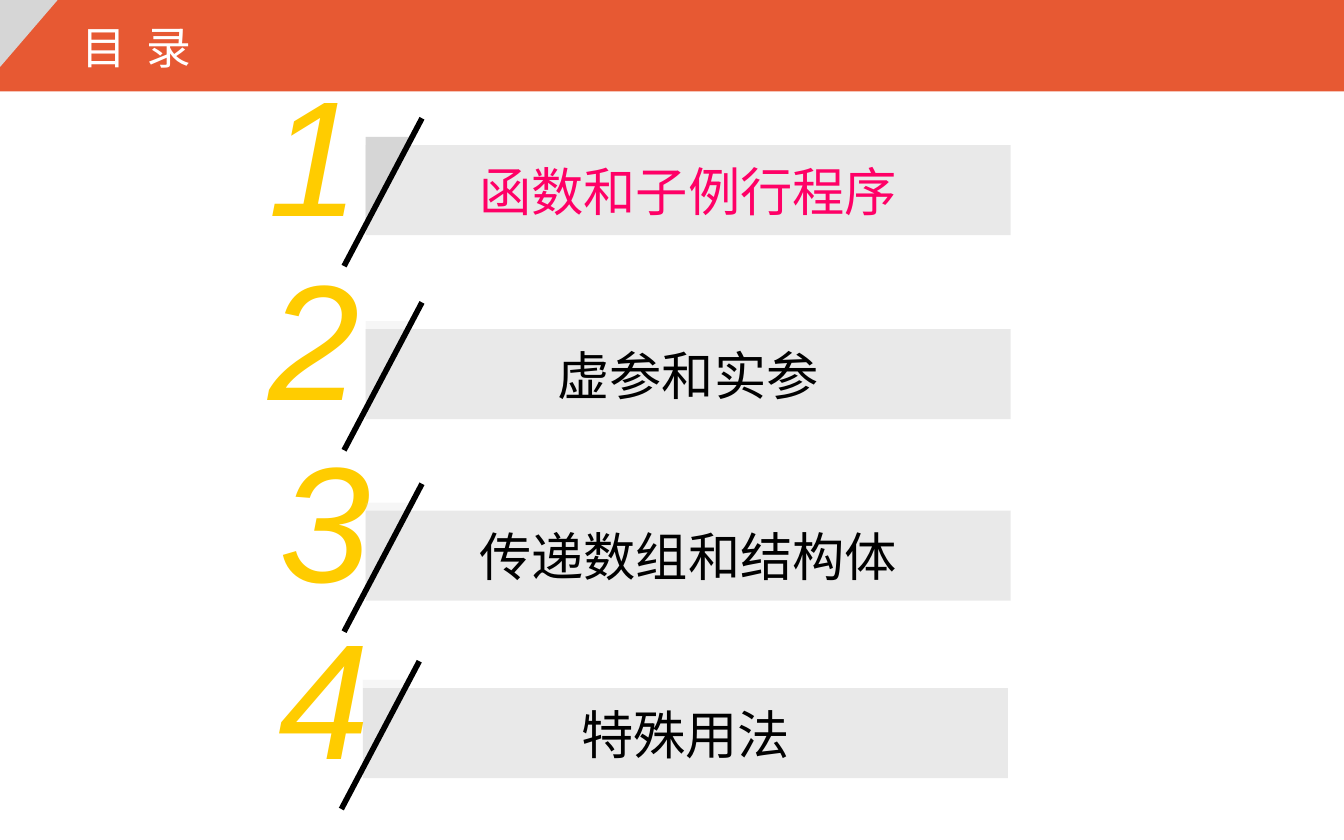
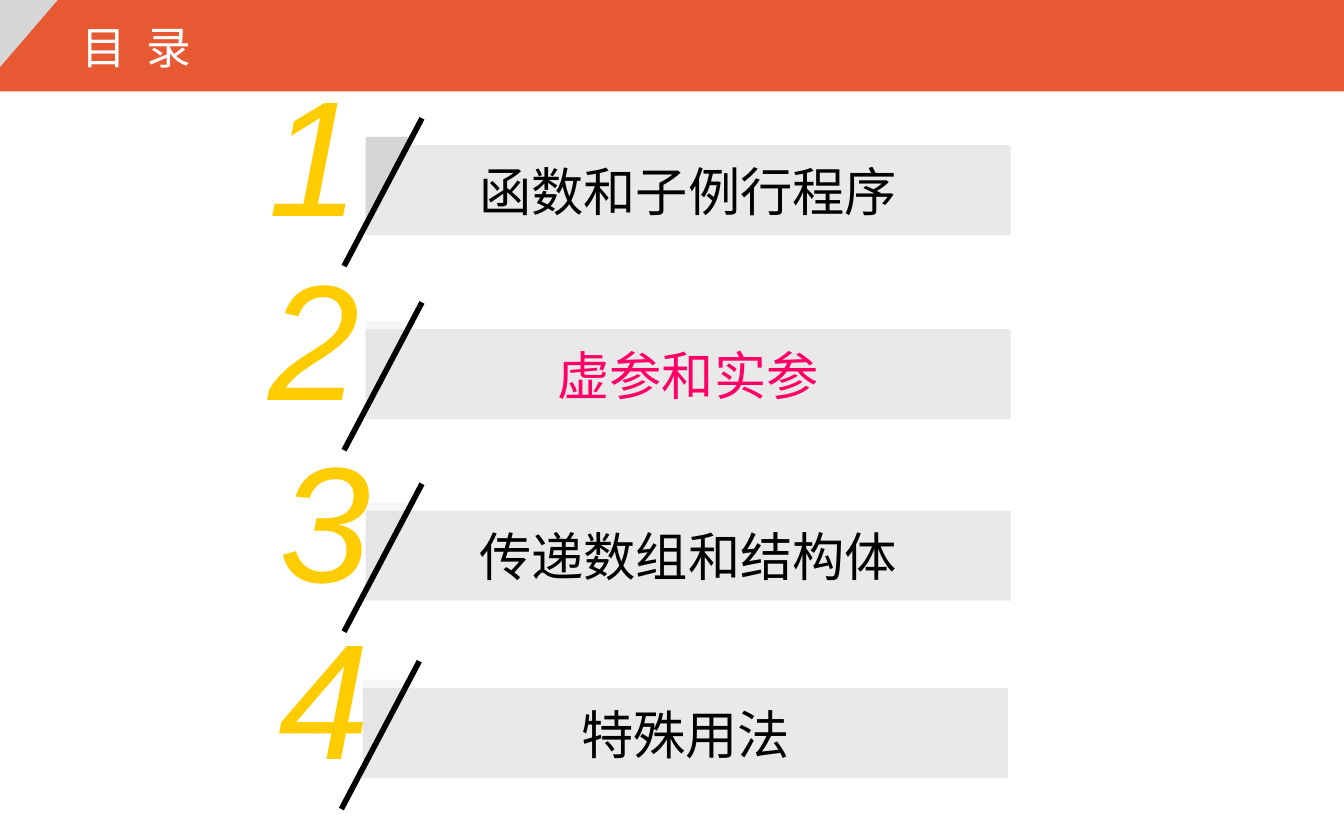
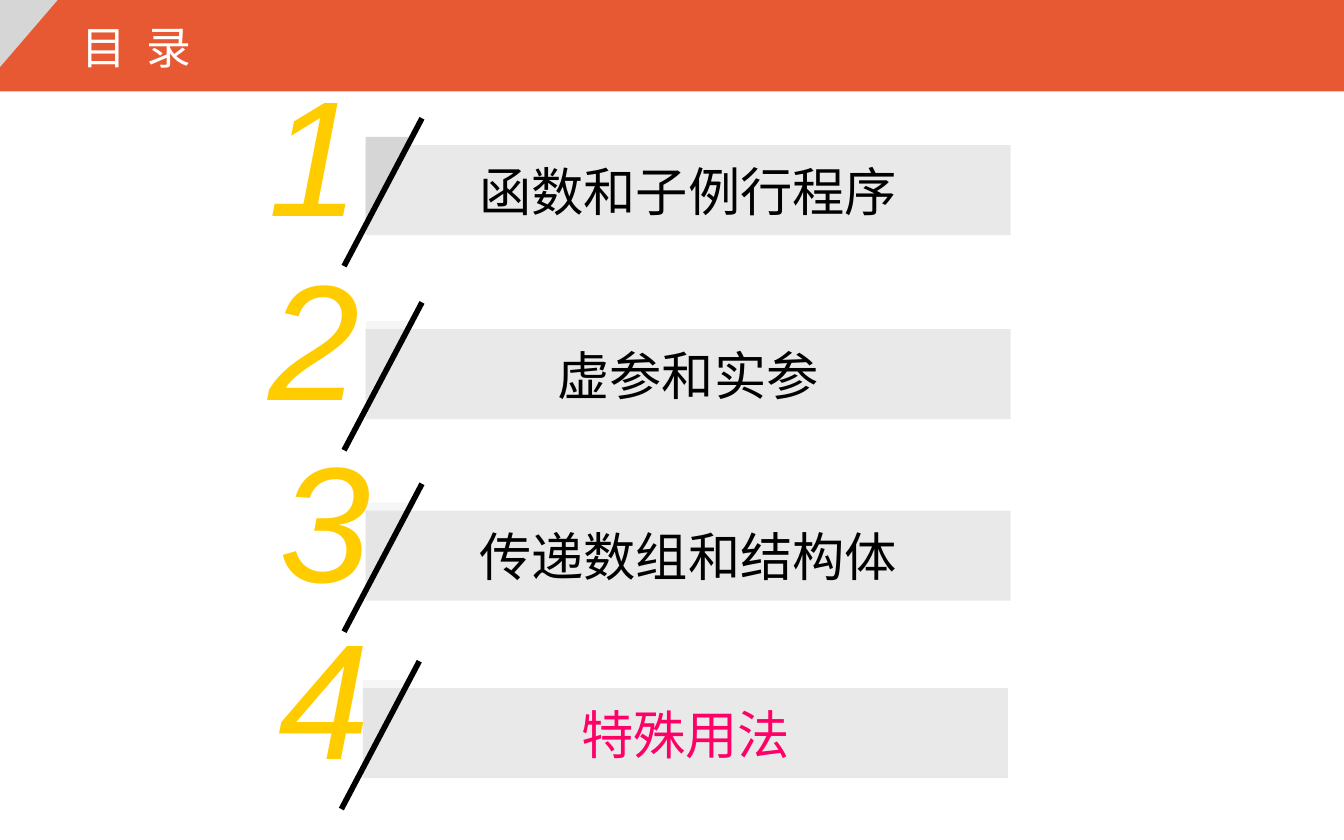
from pptx import Presentation
from pptx.dml.color import RGBColor
from pptx.enum.shapes import MSO_CONNECTOR, MSO_SHAPE
from pptx.enum.text import MSO_ANCHOR, MSO_AUTO_SIZE, PP_ALIGN
from pptx.oxml.ns import qn
from pptx.util import Inches, Pt
from lxml.etree import SubElement

COLORS = {
    "band": "E75933",
    "fold": "D6D6D6",
    "bar": "949494",
    "number": "FFCC00",
    "current": "FF0066",
    "ink": "000000",
    "title": "FFFFFF",
}
SLIDE_WIDTH, SLIDE_HEIGHT = 10, 6.25

# Topic, bar left, bar top, number offset from the bar, fold opacity
TOPICS = [
    ("函数和子例行程序", 2.72, 1.08, -0.82, 100),
    ("虚参和实参", 2.72, 2.45, -0.82, 20),
    ("传递数组和结构体", 2.72, 3.8, -0.74, 20),
    ("特殊用法", 2.7, 5.12, -0.73, 20),
]
CURRENT_TOPICS = [1, 2, 4]


def rgb(color):
    return RGBColor.from_string(COLORS[color])


def write(shape, text, size, color, font="Arial", italic=False,
          align=PP_ALIGN.LEFT, spacing=0):
    """Fill a shape's text frame with one formatted line."""
    paragraph = shape.text_frame.paragraphs[0]
    paragraph.alignment = align
    run = paragraph.add_run()
    run.text = text
    run.font.size = Pt(size)
    run.font.name = font
    run.font.italic = italic
    run.font.color.rgb = rgb(color)
    if spacing:
        run._r.get_or_add_rPr().set("spc", str(round(spacing * 100)))


def add_label(shapes, box, text, size, color, wrap=True, **style):
    label = shapes.add_textbox(*map(Inches, box))
    label.text_frame.word_wrap = wrap
    label.text_frame.auto_size = MSO_AUTO_SIZE.SHAPE_TO_FIT_TEXT
    write(label, text, size, color, **style)


def add_block(shapes, preset, box, color, opacity=100):
    block = shapes.add_shape(preset, *map(Inches, box))
    block.shadow.inherit = False
    block.line.fill.background()
    block.fill.solid()
    block.fill.fore_color.rgb = rgb(color)
    if opacity < 100:
        tint = block._element.spPr.find(".//" + qn("a:srgbClr"))
        SubElement(tint, qn("a:alpha"), val=str(opacity * 1000))
    return block


def add_fold(shapes, box, opacity=100):
    """Right triangle with its square corner at the top left."""
    fold = add_block(shapes, MSO_SHAPE.RIGHT_TRIANGLE, box, "fold", opacity)
    fold._element.spPr.find(qn("a:xfrm")).set("flipV", "1")


def add_slash(shapes, start, end):
    slash = shapes.add_connector(MSO_CONNECTOR.STRAIGHT,
                                 *map(Inches, start + end))
    slash.line.color.rgb = rgb("ink")
    slash.line.width = Pt(3)
    SubElement(slash._element.spPr, qn("a:effectLst"))


def add_header(shapes, left, top, width):
    add_block(shapes, MSO_SHAPE.RECTANGLE, (left, top, width, 0.68), "band")
    add_fold(shapes, (left, top, 0.43, 0.5))
    add_label(shapes, (left + 0.51, top + 0.1, 3.39, 0.5), "目 录", 24,
              "title", font="Noto Sans Mono", spacing=2.7)


def add_topic(shapes, number, topic, left, top, number_offset, fold_opacity,
              color):
    entry = shapes.add_group_shape().shapes
    # Large numeral
    add_label(entry, (left + number_offset, top - 0.74, 0.88, 1.57),
              str(number), 88, "number", wrap=False, italic=True)
    # Topic bar
    bar = add_block(entry, MSO_SHAPE.RECTANGLE, (left, top, 4.8, 0.67),
                    "bar", opacity=20)
    bar.text_frame.word_wrap = True
    bar.text_frame.vertical_anchor = MSO_ANCHOR.MIDDLE
    write(bar, topic, 28, color, align=PP_ALIGN.CENTER)
    # Folded corner and slash
    add_fold(entry, (left, top - 0.06, 0.37, 0.66), fold_opacity)
    add_slash(entry, (left + 0.42, top - 0.2), (left - 0.16, top + 0.9))


def add_contents_slide(deck, current):
    shapes = deck.slides.add_slide(deck.slide_layouts[6]).shapes
    add_header(shapes, 0, 0, SLIDE_WIDTH)
    for number, topic in enumerate(TOPICS, 1):
        color = "current" if number == current else "ink"
        add_topic(shapes, number, *topic, color)


def main():
    deck = Presentation()
    deck.slide_width = Inches(SLIDE_WIDTH)
    deck.slide_height = Inches(SLIDE_HEIGHT)
    for current in CURRENT_TOPICS:
        add_contents_slide(deck, current)
    deck.save("out.pptx")


if __name__ == "__main__":
    main()
